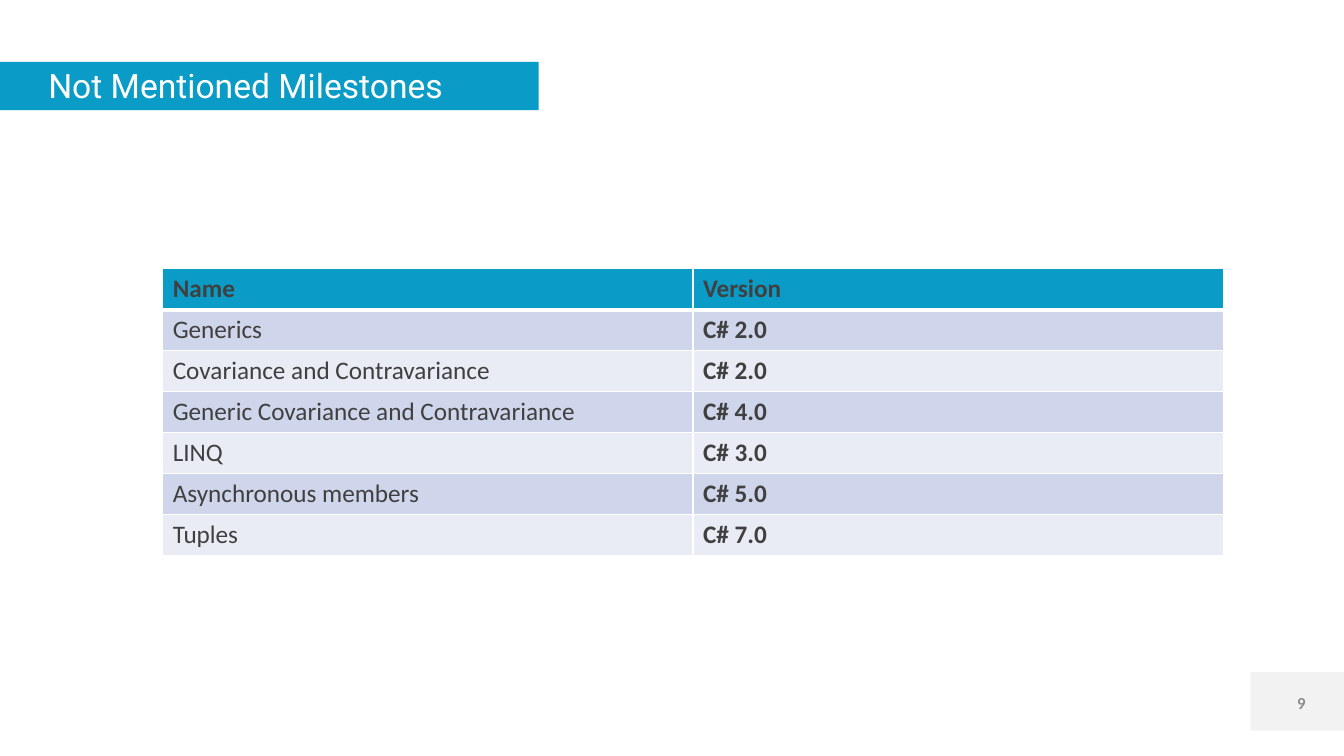
from lxml import etree
from pptx import Presentation
from pptx.dml.color import RGBColor
from pptx.enum.shapes import MSO_SHAPE
from pptx.enum.text import MSO_ANCHOR, PP_ALIGN
from pptx.oxml.ns import qn
from pptx.util import Pt

PX = 9525
TITLE_ONLY = 5
RECTANGLE = MSO_SHAPE.RECTANGLE
MIDDLE = MSO_ANCHOR.MIDDLE
LEFT, RIGHT = PP_ALIGN.LEFT, PP_ALIGN.RIGHT

COLORS = {
    "accent": "0A9BC7",
    "badge": "F2F2F2",
    "white": "FFFFFF",
    "text": "404040",
    "number": "8C8C8C",
    "odd_row": "CFD5EA",
    "even_row": "E9EBF5",
}

MILESTONES = [
    ("Name", "Version"),
    ("Generics", "C# 2.0"),
    ("Covariance and Contravariance", "C# 2.0"),
    ("Generic Covariance and Contravariance", "C# 4.0"),
    ("LINQ", "C# 3.0"),
    ("Asynchronous members", "C# 5.0"),
    ("Tuples", "C# 7.0"),
]


def rgb(name):
    """Return the named colour."""
    return RGBColor.from_string(COLORS[name])


def emu(*lengths):
    """Convert pixel lengths to EMU."""
    return [length * PX for length in lengths]


def set_text(tf, text, size, color, font="Calibri", bold=False, align=LEFT):
    """Put one formatted paragraph in a text frame."""
    tf.text = text
    p = tf.paragraphs[0]
    p.alignment = align
    f = p.runs[0].font
    f.name, f.size, f.bold = font, Pt(size), bold
    f.color.rgb = rgb(color)


def add_block(s, x, y, w, h, color):
    """Add a plain filled rectangle."""
    sp = s.shapes.add_shape(RECTANGLE, *emu(x, y, w, h))
    sp.shadow.inherit = False
    sp.fill.solid()
    sp.fill.fore_color.rgb = rgb(color)
    sp.line.fill.background()
    return sp


def add_title(s, x, y, w, h, text):
    """Place the title over its coloured banner."""
    banner = add_block(s, x, y, w, h, "accent")
    title = s.shapes.title
    title.element.addprevious(banner.element)
    title.left, title.top, title.width, title.height = emu(x + 40, y - 3, w + 220, h + 4)
    tf = title.text_frame
    tf.margin_left = tf.margin_right = tf.margin_top = tf.margin_bottom = 6 * PX
    tf.vertical_anchor = MIDDLE
    tf.word_wrap = True
    set_text(tf, text, 24, "white", font="Roboto")


def add_page_number(s, x, y, w, h, number):
    """Place the page number on its corner badge."""
    add_block(s, x, y, w, h, "badge")
    box = s.shapes.add_textbox(*emu(x - 226, y + 10, 288, 38))
    tf = box.text_frame
    tf.word_wrap = True
    tf.vertical_anchor = MIDDLE
    set_text(tf, number, 12, "number", bold=True, align=RIGHT)


def set_borders(cell, widths):
    """Draw white borders of the given point widths on a cell."""
    tc_pr = cell._tc.get_or_add_tcPr()
    for side, width in widths.items():
        ln = etree.SubElement(tc_pr, qn(f"a:ln{side}"), w=str(Pt(width)))
        fill = etree.SubElement(ln, qn("a:solidFill"))
        etree.SubElement(fill, qn("a:srgbClr"), val=COLORS["white"])


def add_milestones(s, x, y, w, h, rows):
    """Add the banded table with a header row and a bold last column."""
    n_cols = len(rows[0])
    table = s.shapes.add_table(len(rows), n_cols, *emu(x, y, w, h)).table
    for i, row in enumerate(rows):
        table.rows[i].height = h * PX // len(rows)
        header = i == 0
        color = "accent" if header else "odd_row" if i % 2 else "even_row"
        borders = {"L": 1, "R": 1, "T": 3 if i == 1 else 1, "B": 3 if header else 1}
        for j, text in enumerate(row):
            cell = table.cell(i, j)
            set_borders(cell, borders)
            cell.fill.solid()
            cell.fill.fore_color.rgb = rgb(color)
            set_text(cell.text_frame, text, 18, "text", bold=header or j == n_cols - 1)


def main():
    """Build and save the slide."""
    prs = Presentation()
    prs.slide_width, prs.slide_height = emu(1280, 720)
    s = prs.slides.add_slide(prs.slide_layouts[TITLE_ONLY])
    add_title(s, 0, 59, 513, 46, "Not Mentioned Milestones")
    add_page_number(s, 1191, 640, 89, 56, "9")
    add_milestones(s, 155, 256, 1010, 273, MILESTONES)
    prs.save("out.pptx")


if __name__ == "__main__":
    main()
